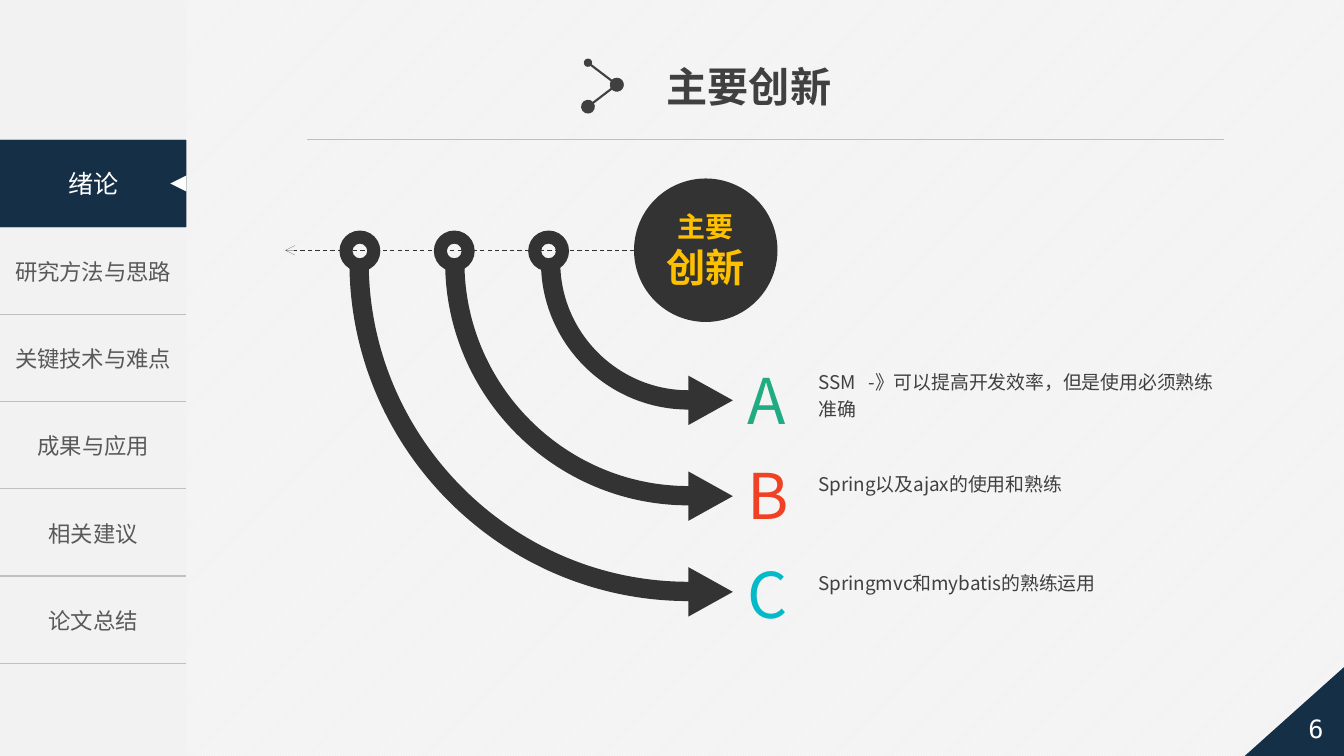
from dataclasses import dataclass

from lxml import etree
from pptx import Presentation
from pptx.dml.color import RGBColor
from pptx.enum.dml import MSO_LINE, MSO_PATTERN
from pptx.enum.shapes import MSO_CONNECTOR, MSO_SHAPE
from pptx.enum.text import MSO_ANCHOR, MSO_AUTO_SIZE, PP_ALIGN
from pptx.oxml.ns import qn
from pptx.util import Pt

STRAIGHT = MSO_CONNECTOR.STRAIGHT
RECTANGLE, OVAL, DONUT = MSO_SHAPE.RECTANGLE, MSO_SHAPE.OVAL, MSO_SHAPE.DONUT
TRIANGLE, RIGHT_TRIANGLE = MSO_SHAPE.ISOSCELES_TRIANGLE, MSO_SHAPE.RIGHT_TRIANGLE
LEFT, CENTER = PP_ALIGN.LEFT, PP_ALIGN.CENTER
TOP, MIDDLE = MSO_ANCHOR.TOP, MSO_ANCHOR.MIDDLE
TITLE_ONLY = 5


@dataclass(frozen=True)
class Theme:
    # Colours
    paper: str = "F2F2F2"
    white: str = "FFFFFF"
    navy: str = "152F47"
    ink: str = "333333"
    text: str = "404040"
    muted: str = "595959"
    rule: str = "BFBFBF"
    gold: str = "FFC000"
    green: str = "21AB82"
    red: str = "F14124"
    cyan: str = "05BAC8"
    # Fonts and sizes
    font: str = "Noto Sans CJK SC"
    title_font: str = "Arial"
    number_font: str = "DejaVu Sans Mono"
    title: float = 29.4
    letter: float = 45
    hub_small: float = 20
    hub_large: float = 28
    active: float = 18
    menu: float = 16
    body: float = 13.5


THEME = Theme()
MENU = ["研究方法与思路", "关键技术与难点", "成果与应用", "相关建议", "论文总结"]
MENU_TOP, MENU_WIDTH, ROW_HEIGHT = 100, 133.2, 62.3

# Letter, colour, letter top, text, text top, text height
POINTS = [
    ("A", THEME.green, 254.9, "SSM   -》可以提高开发效率，但是使用必须熟练准确", 258.7, 44),
    ("B", THEME.red, 323, "Spring以及ajax的使用和熟练", 331.2, 24),
    ("C", THEME.cyan, 393.5, "Springmvc和mybatis的熟练运用", 402.1, 24),
]


def color(value):
    return RGBColor.from_string(value)


def style(paragraph, text, size, ink, font=THEME.font, bold=False, align=LEFT):
    paragraph.text = text
    paragraph.alignment = align
    paragraph.font.name = font
    paragraph.font.size = Pt(size)
    paragraph.font.bold = bold
    paragraph.font.color.rgb = color(ink)
    # East Asian characters take the same typeface
    properties = paragraph._p.pPr.find(qn("a:defRPr"))
    etree.SubElement(properties, qn("a:ea")).set("typeface", font)


def set_frame(frame, anchor, wrap=True, side=5.8, end=2.9):
    frame.word_wrap = wrap
    frame.auto_size = MSO_AUTO_SIZE.NONE
    frame.vertical_anchor = anchor
    frame.margin_left = frame.margin_right = Pt(side)
    frame.margin_top = frame.margin_bottom = Pt(end)


def paint(shape, fill):
    shape.shadow.inherit = False
    shape.fill.solid()
    shape.fill.fore_color.rgb = color(fill)
    shape.line.fill.background()


def add_figure(slide, kind, left, top, width, height, fill):
    shape = slide.shapes.add_shape(kind, Pt(left), Pt(top), Pt(width), Pt(height))
    paint(shape, fill)
    return shape


def add_text(slide, left, top, width, height, text, size, ink,
             anchor=TOP, wrap=True, spacing=1, **options):
    box = slide.shapes.add_textbox(Pt(left), Pt(top), Pt(width), Pt(height))
    set_frame(box.text_frame, anchor, wrap)
    paragraph = box.text_frame.paragraphs[0]
    style(paragraph, text, size, ink, **options)
    paragraph.line_spacing = spacing


def add_line(slide, start, end, ink, width, dash=None, ends=()):
    line = slide.shapes.add_connector(
        STRAIGHT, Pt(start[0]), Pt(start[1]), Pt(end[0]), Pt(end[1]))
    line.line.color.rgb = color(ink)
    if dash:
        line.line.dash_style = dash
    properties = line._element.spPr
    outline = properties.find(qn("a:ln"))
    outline.set("w", str(Pt(width)))  # keeps a hairline's zero width explicit
    for tag, kind, size in ends:
        etree.SubElement(outline, qn(tag), type=kind, w=size, len=size)
    etree.SubElement(properties, qn("a:effectLst"))


def add_quarter_arrow(slide, center_x, center_y, radius):
    """Draw a quarter ring that ends in an arrowhead pointing right."""
    band, half_head, head_length = 13.8, 17.6, 31.7

    def arc(size):
        bend = 0.55 * size
        offsets = [(size, 0), (size, bend), (bend, size), (0, size)]
        return [(center_x - x, center_y + y) for x, y in offsets]

    tip_y = center_y + radius - 6.6
    head = [(center_x, tip_y + half_head), (center_x + head_length, tip_y),
            (center_x, tip_y - half_head)]
    outline = arc(radius) + head + arc(radius - band)[::-1]
    points = [(Pt(x), Pt(y)) for x, y in outline]
    builder = slide.shapes.build_freeform(*points[0])
    builder.add_line_segments(points[1:], close=True)
    shape = builder.convert_to_shape()
    paint(shape, THEME.ink)

    # Turn the three segments of each arc into one Bézier curve
    segments = list(shape._element.iter(qn("a:lnTo")))
    for group in (segments[:3], segments[-3:]):
        curve = etree.Element(qn("a:cubicBezTo"))
        group[0].addprevious(curve)
        for segment in group:
            curve.append(segment[0])
            segment.getparent().remove(segment)


def add_menu(slide):
    # Row list with rules; the first row lies under the active tab
    frame = slide.shapes.add_table(len(MENU) + 1, 1, Pt(0), Pt(MENU_TOP), Pt(MENU_WIDTH),
                                   Pt(ROW_HEIGHT * (len(MENU) + 1)))
    table = frame.table
    table.first_row = table.horz_banding = False
    for row, label in enumerate([""] + MENU):
        cell = table.cell(row, 0)
        cell.vertical_anchor = MIDDLE
        cell.margin_left = cell.margin_right = 0
        style(cell.text_frame.paragraphs[0], label, THEME.menu, THEME.muted, align=CENTER)
        properties = cell._tc.get_or_add_tcPr()
        for side in ("a:lnL", "a:lnR", "a:lnT", "a:lnB"):
            border = etree.SubElement(properties, qn(side), w=str(Pt(1)))
            if side in ("a:lnL", "a:lnR"):
                etree.SubElement(border, qn("a:noFill"))
            else:
                fill = etree.SubElement(border, qn("a:solidFill"))
                etree.SubElement(fill, qn("a:srgbClr"), val=THEME.rule)
        cell.fill.background()

    # Active tab and its pointer
    tab = add_figure(slide, RECTANGLE, 0, MENU_TOP, MENU_WIDTH, 62, THEME.navy)
    set_frame(tab.text_frame, MIDDLE)
    style(tab.text_frame.paragraphs[0], "绪论", THEME.active, THEME.white, align=CENTER)
    pointer = add_figure(slide, TRIANGLE, 121.7, 125.3, 11.5, 11.5, THEME.white)
    pointer.rotation = 270


def add_heading(slide):
    title = slide.shapes.title
    title.left, title.top, title.width, title.height = Pt(469), Pt(40.3), Pt(133.2), Pt(42.5)
    set_frame(title.text_frame, TOP, wrap=False, side=7.2, end=3.6)
    style(title.text_frame.paragraphs[0], "主要创新", THEME.title, THEME.text,
          THEME.title_font, bold=True)
    add_line(slide, (219.6, 99.7), (874, 99.7), THEME.rule, 0.5)
    # Linked dots beside the title
    upper, middle, lower = (420, 44.8), (440.6, 60.5), (420, 76.2)
    for start, end, size in ((upper, middle, "med"), (middle, lower, "lg")):
        add_line(slide, start, end, THEME.text, 1.5,
                 ends=[("a:headEnd", "oval", size), ("a:tailEnd", "oval", "lg")])


def add_diagram(slide):
    # Hub and dashed axis
    hub = add_figure(slide, OVAL, 452.9, 127.5, 102.5, 102.5, THEME.ink)
    frame = hub.text_frame
    set_frame(frame, MIDDLE)
    style(frame.paragraphs[0], "主要", THEME.hub_small, THEME.gold, bold=True, align=CENTER)
    style(frame.add_paragraph(), "创新", THEME.hub_large, THEME.gold, bold=True, align=CENTER)
    add_line(slide, (452.9, 178.8), (203.8, 178.8), THEME.ink, 0, MSO_LINE.DASH,
             [("a:tailEnd", "arrow", "med")])

    # One ring, arrow, letter and text for each point
    for index, (letter, ink, letter_top, text, text_top, height) in enumerate(POINTS):
        ring = add_figure(slide, DONUT, 377.3 - 67.4 * index, 164.7, 29.2, 29.2, THEME.ink)
        ring.adjustments[0] = 0.32
        add_quarter_arrow(slide, 491.8, 187.2, 105.4 + 68.4 * index)
        add_text(slide, 528.5, letter_top, 44, 60.5, letter, THEME.letter, ink,
                 anchor=MIDDLE, wrap=False)
        add_text(slide, 578.9, text_top, 305.3, height, text, THEME.body, THEME.text,
                 spacing=1.2)


def add_page_number(slide):
    corner = add_figure(slide, RIGHT_TRIANGLE, 888, 474, 74.9, 67, THEME.navy)
    corner._element.spPr.find(qn("a:xfrm")).set("flipH", "1")
    add_text(slide, 920, 501, 40, 39, "6", THEME.active, THEME.white,
             anchor=MIDDLE, font=THEME.number_font, align=CENTER)


def main():
    presentation = Presentation()
    presentation.slide_width, presentation.slide_height = Pt(960), Pt(540)
    slide = presentation.slides.add_slide(presentation.slide_layouts[TITLE_ONLY])
    background = slide.background.fill
    background.patterned()
    background.pattern = MSO_PATTERN.LIGHT_UPWARD_DIAGONAL
    background.fore_color.rgb = color(THEME.white)
    background.back_color.rgb = color(THEME.paper)
    add_figure(slide, RECTANGLE, 0, 0, MENU_WIDTH, 540, THEME.paper)
    add_menu(slide)
    add_heading(slide)
    add_diagram(slide)
    add_page_number(slide)
    presentation.save("out.pptx")


if __name__ == "__main__":
    main()
